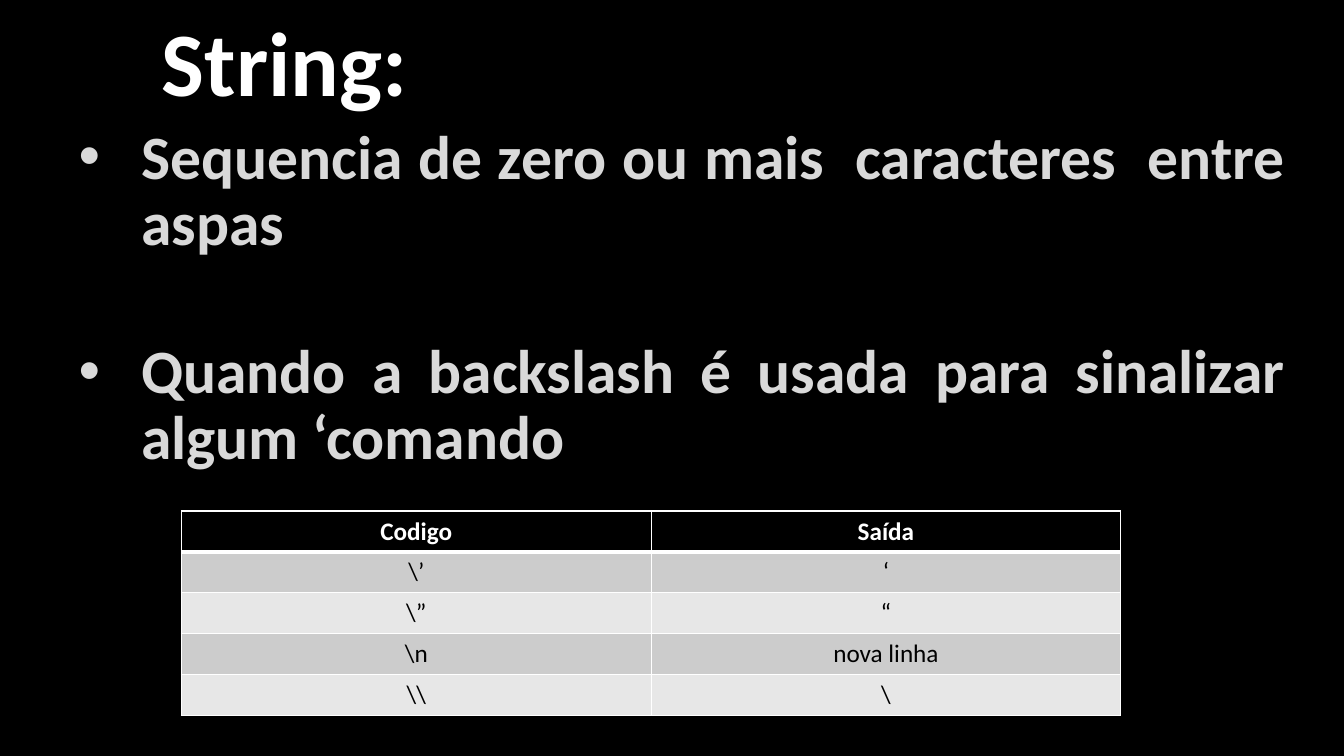
from lxml import etree
from pptx import Presentation
from pptx.dml.color import RGBColor
from pptx.enum.text import MSO_ANCHOR, MSO_AUTO_SIZE, PP_ALIGN
from pptx.oxml.ns import qn
from pptx.util import Pt

CENTER, JUSTIFY = PP_ALIGN.CENTER, PP_ALIGN.JUSTIFY
TOP, BOTTOM = MSO_ANCHOR.TOP, MSO_ANCHOR.BOTTOM
NO_FIT = MSO_AUTO_SIZE.NONE

BLACK, WHITE, PALE = "000000", "FFFFFF", "D9D9D9"
BANDS = ["CCCCCC", "E7E7E7"]
POINTS = [
    "Sequencia de zero ou mais  caracteres  entre aspas",
    "Quando a backslash é usada para sinalizar algum ‘comando",
]
FIRST_GAP, POINT_GAP = 5, 58
ESCAPES = [
    ("Codigo", "Saída"),
    ("\\’", "‘"),
    ("\\”", "“"),
    ("\\n", "nova linha"),
    ("\\\\", "\\"),
]


def paint(color_format, color):
    """Give a colour format a hex colour."""
    color_format.rgb = RGBColor.from_string(color)


def fill_solid(fill, color):
    """Make a fill solid in a hex colour."""
    fill.solid()
    paint(fill.fore_color, color)


def set_values(target, values):
    """Set several attributes of an object."""
    for name, value in values.items():
        setattr(target, name, value)


def write(para, text, size, color, bold, **layout):
    """Write one formatted run into a paragraph."""
    span = para.add_run()
    span.text = text
    set_values(span.font, {"name": "Calibri", "size": Pt(size), "bold": bold})
    paint(span.font.color, color)
    set_values(para, layout)


def place(box, left, top, width, height, anchor):
    """Move a placeholder and fix the way its text sits."""
    set_values(box, {"left": Pt(left), "top": Pt(top),
                     "width": Pt(width), "height": Pt(height)})
    set_values(box.text_frame, {"word_wrap": True, "auto_size": NO_FIT,
                                "vertical_anchor": anchor})


def add_bullet(para, left, hanging):
    """Give a paragraph a round bullet and a hanging indent."""
    properties = para._p.get_or_add_pPr()
    properties.set("marL", str(Pt(left)))
    properties.set("indent", str(-Pt(hanging)))
    etree.SubElement(properties, qn("a:buFont"), typeface="Arial")
    etree.SubElement(properties, qn("a:buChar"), char="•")


def add_borders(cell, widths):
    """Draw white cell borders, with widths listed by side."""
    properties = cell._tc.get_or_add_tcPr()
    for index, (side, width) in enumerate(widths.items()):
        line = etree.Element(qn("a:ln" + side), w=str(Pt(width)))
        solid = etree.SubElement(line, qn("a:solidFill"))
        etree.SubElement(solid, qn("a:srgbClr"), val=WHITE)
        properties.insert(index, line)


def fill_points(box):
    """Write the bulleted statements."""
    frame = box.text_frame
    for index, text in enumerate(POINTS):
        para = frame.add_paragraph() if index else frame.paragraphs[0]
        gap = POINT_GAP if index else FIRST_GAP
        write(para, text, 44, PALE, True, level=1, alignment=JUSTIFY,
              line_spacing=0.9, space_before=Pt(gap))
        add_bullet(para, 80.64, 44.64)


def add_escape_table(page):
    """Add the table of escape codes and their output."""
    rows, columns = len(ESCAPES), len(ESCAPES[0])
    frame = page.shapes.add_table(rows, columns, Pt(129.6), Pt(365),
                                  Pt(671), Pt(29.1 * rows))
    for row, texts in enumerate(ESCAPES):
        header = row == 0
        for column, text in enumerate(texts):
            cell = frame.table.cell(row, column)
            fill_solid(cell.fill, BLACK if header else BANDS[(row - 1) % 2])
            write(cell.text_frame.paragraphs[0], text, 18,
                  WHITE if header else BLACK, header, alignment=CENTER)
            add_borders(cell, {"L": 1, "R": 1, "T": 3 if row == 1 else 1,
                               "B": 3 if header else 1})


def main():
    """Build and save the slide."""
    deck = Presentation()
    set_values(deck, {"slide_width": Pt(960), "slide_height": Pt(540)})
    page = deck.slides.add_slide(deck.slide_layouts[0])
    fill_solid(page.background.fill, BLACK)

    title, body = page.placeholders
    place(title, 32.4, 13, 342, 73.4, BOTTOM)
    write(title.text_frame.paragraphs[0], "String:", 64.8, WHITE, True,
          alignment=CENTER, line_spacing=0.9)
    place(body, 13, 86.4, 913.7, 332, TOP)
    fill_points(body)
    add_escape_table(page)
    deck.save("out.pptx")


main()
